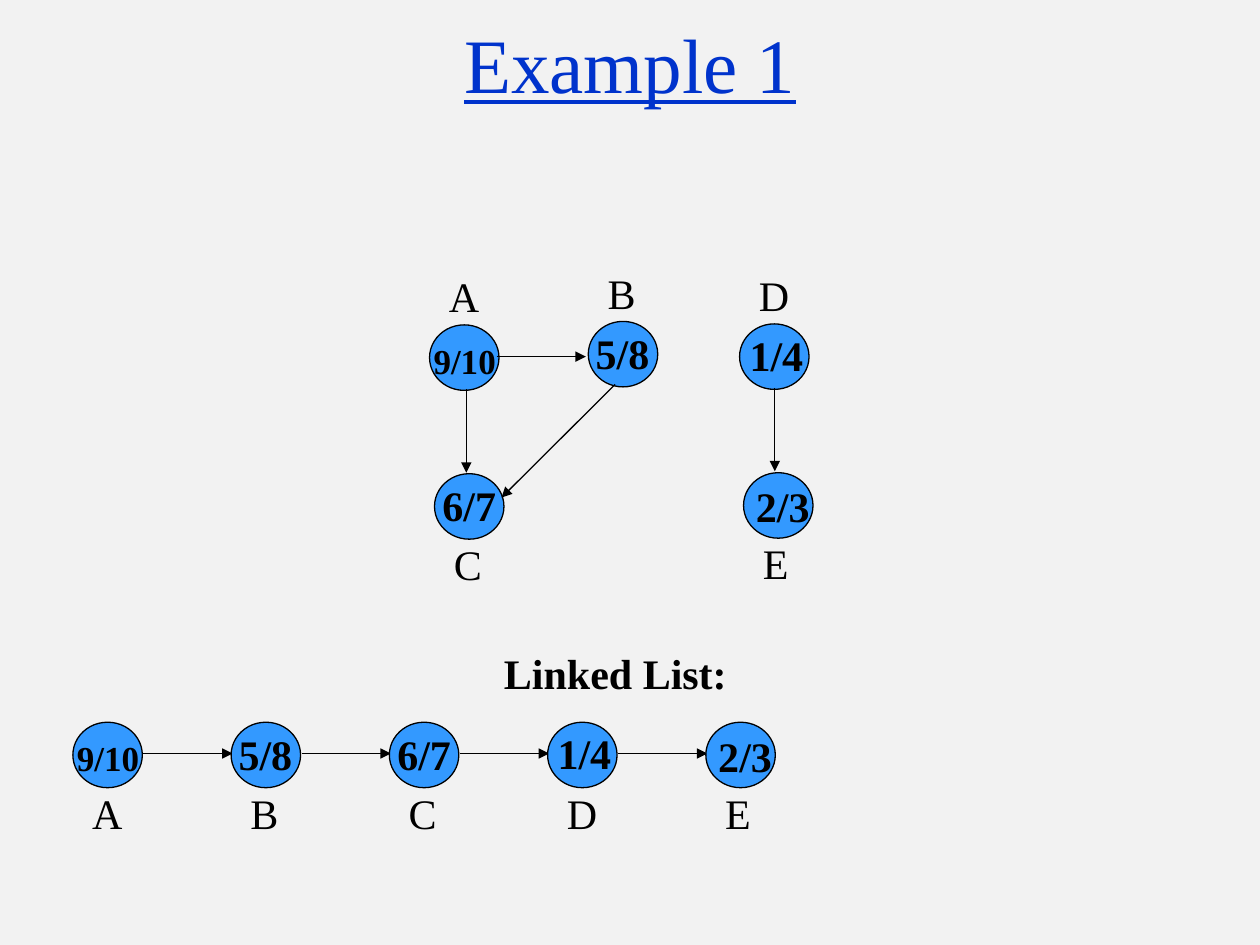
from lxml import etree
from pptx import Presentation
from pptx.dml.color import RGBColor
from pptx.enum.shapes import MSO_CONNECTOR, MSO_SHAPE
from pptx.enum.text import MSO_ANCHOR, MSO_AUTO_SIZE, PP_ALIGN
from pptx.oxml.ns import qn
from pptx.util import Cm, Pt

LINE = MSO_CONNECTOR.STRAIGHT
OVAL = MSO_SHAPE.OVAL
MIDDLE = MSO_ANCHOR.MIDDLE
GROW = MSO_AUTO_SIZE.SHAPE_TO_FIT_TEXT
FIXED = MSO_AUTO_SIZE.NONE
CENTER = PP_ALIGN.CENTER

PAPER = RGBColor(0xF2, 0xF2, 0xF2)
BLUE = RGBColor(0x33, 0x99, 0xFF)
NAVY = RGBColor(0x00, 0x33, 0xCC)
BLACK = RGBColor(0x00, 0x00, 0x00)

FONT = "Times New Roman"
WIDE, HIGH = 1.4, 1.32
ABOVE, BELOW = -1.22, 1.19
STEP = 3.19

NODES = {
    "A": ("9/10", 20, -0.17, 0.16, 1.85, 1.09, 1.12),
    "B": ("5/8", 24, -0.1, 0, 1.6, 1.27, 1.07),
    "C": ("6/7", 24, -0.09, 0, 1.6, 1.27, 1.07),
    "D": ("1/4", 24, -0.05, -0.02, 1.6, 1.27, 1.12),
    "E": ("2/3", 24, 0, 0.04, 1.6, 1.27, 1.02),
}
SPOTS = {
    "A": (0, 0.07, ABOVE),
    "B": (3.2, 0, ABOVE),
    "C": (0.1, 3.07, BELOW),
    "D": (6.25, 0.05, ABOVE),
    "E": (6.33, 3.05, BELOW),
}
EDGES = [
    (1.35, 0.71, 3.15, 0.71),
    (0.74, 1.37, 0.74, 3.05),
    (3.74, 1.27, 1.45, 3.55),
    (6.96, 1.34, 6.96, 3.02),
]


def add_text(slide, text, left, top, width, height, size=24, bold=False):
    """Add a one-line text box and return its shape and run."""
    box = slide.shapes.add_textbox(Cm(left), Cm(top), Cm(width), Cm(height))
    frame = box.text_frame
    frame.word_wrap = False
    frame.auto_size = GROW
    run = frame.paragraphs[0].add_run()
    run.text = text
    run.font.name = FONT
    run.font.size = Pt(size)
    run.font.bold = bold
    run.font.color.rgb = BLACK
    return box, run


def add_arrow(slide, left, top, right, end):
    """Add a thin black arrow between two points."""
    arrow = slide.shapes.add_connector(LINE, Cm(left), Cm(top), Cm(right), Cm(end))
    arrow.line.color.rgb = BLACK
    arrow.line.width = Pt(0.75)
    etree.SubElement(arrow.line._get_or_add_ln(), qn("a:tailEnd"), type="triangle")
    etree.SubElement(arrow._element.spPr, qn("a:effectLst"))


def add_node(slide, name, left, top, rise):
    """Add a circle with its value inside and its name above or below."""
    value, size, right, down, width, height, label = NODES[name]
    oval = slide.shapes.add_shape(OVAL, Cm(left), Cm(top), Cm(WIDE), Cm(HIGH))
    oval.shadow.inherit = False
    oval.fill.solid()
    oval.fill.fore_color.rgb = BLUE
    oval.line.color.rgb = BLACK
    oval.line.width = Pt(0.75)
    add_text(slide, value, left + right, top + down, width, height, size, True)
    add_text(slide, name, left + 0.14, top + rise, label, 1.27)


def add_title(slide, left, top, width, height):
    """Add the centred, underlined title."""
    box, run = add_text(slide, "Example 1", left, top, width, height, 44)
    frame = box.text_frame
    frame.auto_size = FIXED
    frame.word_wrap = True
    frame.vertical_anchor = MIDDLE
    frame.paragraphs[0].alignment = CENTER
    run.font.underline = True
    run.font.color.rgb = NAVY


def add_graph(slide, left, top):
    """Add the graph of five nodes and its edges."""
    for name, (right, down, rise) in SPOTS.items():
        add_node(slide, name, left + right, top + down, rise)
    for start, upper, end, lower in EDGES:
        add_arrow(slide, left + start, top + upper, left + end, top + lower)


def add_list(slide, left, top):
    """Add the heading and the row of linked nodes."""
    add_text(slide, "Linked List:", left + 8.44, top - 1.63, 5, 1.27, bold=True)
    for index, name in enumerate(NODES):
        spot = left + index * STEP
        add_node(slide, name, spot, top, BELOW)
        if index < len(NODES) - 1:
            add_arrow(slide, spot + 1.42, top + 0.63, spot + 3.22, top + 0.63)


def main():
    """Build the slide and save it."""
    deck = Presentation()
    deck.slide_width, deck.slide_height = Cm(25.4), Cm(19.05)
    slide = deck.slides.add_slide(deck.slide_layouts[6])
    slide.background.fill.solid()
    slide.background.fill.fore_color.rgb = PAPER
    add_title(slide, 0, 0, 25.4, 2.54)
    add_graph(slide, 8.66, 6.48)
    add_list(slide, 1.47, 14.56)
    deck.save("out.pptx")


if __name__ == "__main__":
    main()
